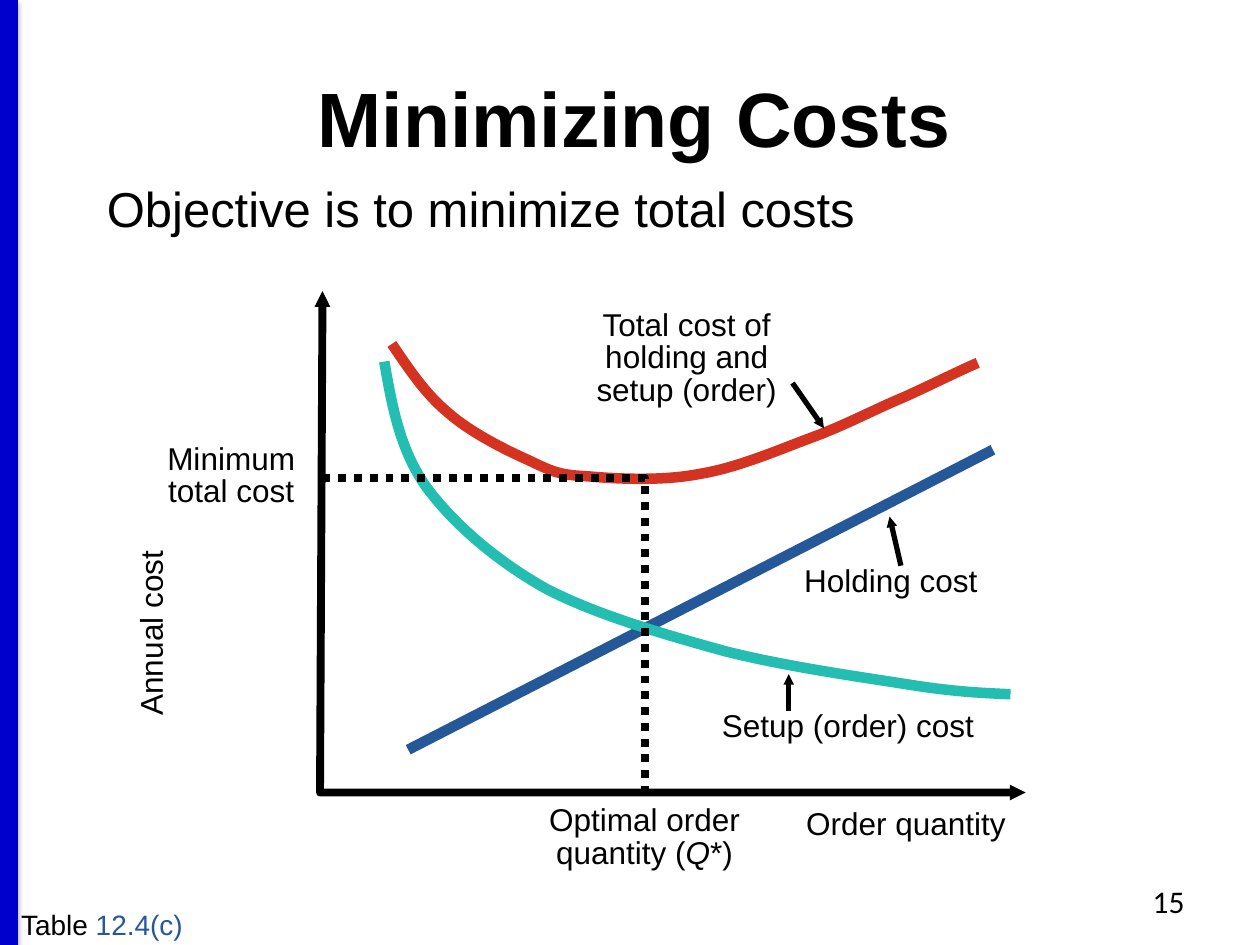
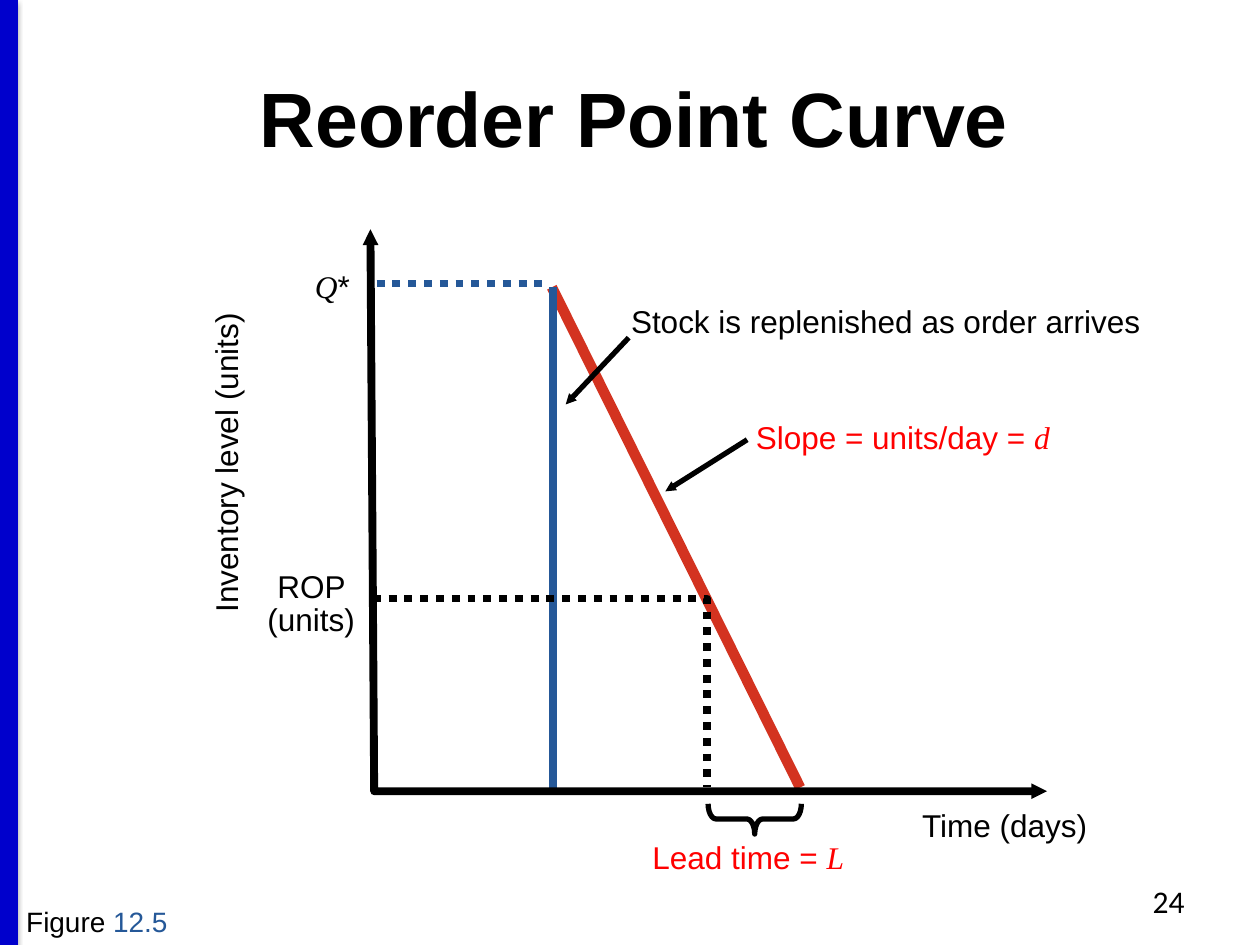
from lxml.etree import SubElement
from pptx import Presentation
from pptx.dml.color import RGBColor
from pptx.enum.dml import MSO_LINE
from pptx.enum.shapes import MSO_CONNECTOR, MSO_SHAPE
from pptx.enum.text import PP_ALIGN
from pptx.oxml.ns import qn
from pptx.util import Inches, Pt

BLACK, BAND = "000000", "0000CC"
BLUE, RED, TEAL, ALERT = "255898", "D33320", "24BDB2", "FF0000"
SERIF = "Times New Roman"
VARIABLE = {"font": SERIF, "italic": True}
LABEL = {"align": PP_ALIGN.CENTER, "spacing": 0.85, "wrap": True}


def rgb(color):
    return RGBColor.from_string(color)


def place(sp, box):
    sp.left, sp.top, sp.width, sp.height = map(Inches, box)


def write(tf, content, size=18, color=BLACK, font="Arial", bold=False,
          italic=False, align=PP_ALIGN.LEFT, spacing=None, wrap=False):
    tf.word_wrap = wrap
    p = tf.paragraphs[0]
    p.alignment = align
    if spacing:
        p.line_spacing = spacing
    runs = [(content, {})] if isinstance(content, str) else content
    for words, change in runs:
        r = p.add_run()
        r.text = words
        r.font.size = Pt(size)
        r.font.bold = bold
        r.font.name = change.get("font", font)
        r.font.italic = change.get("italic", italic)
        r.font.color.rgb = rgb(change.get("color", color))


def add_text(s, content, box, rotation=0, **fmt):
    sp = s.shapes.add_textbox(*map(Inches, box))
    sp.rotation = rotation
    write(sp.text_frame, content, **fmt)


def style_line(sp, color=BLACK, width=4.5, dotted=False, ends=()):
    sp.line.color.rgb = rgb(color)
    sp.line.width = Pt(width)
    if dotted:
        sp.line.dash_style = MSO_LINE.ROUND_DOT
    ln = sp.element.spPr.find(qn("a:ln"))
    for end in ends:
        SubElement(ln, qn(f"a:{end}"), type="triangle", w="sm", len="sm")


def add_line(s, start, end, **style):
    sp = s.shapes.add_connector(
        MSO_CONNECTOR.STRAIGHT, *map(Inches, (*start, *end)))
    style_line(sp, **style)
    SubElement(sp.element.spPr, qn("a:effectLst"))
    return sp


def add_pointer(s, start, end):
    add_line(s, start, end, width=3, ends=["tailEnd"])


def add_polyline(s, points, **style):
    first, *rest = [(Inches(x), Inches(y)) for x, y in points]
    builder = s.shapes.build_freeform(*first)
    builder.add_line_segments(rest, close=False)
    sp = builder.convert_to_shape()
    sp.shadow.inherit = False
    sp.fill.background()
    style_line(sp, **style)
    return sp


def add_axes(s, top, corner, right):
    add_polyline(s, [top, corner, right], ends=["headEnd", "tailEnd"])


def add_curve(s, points, color):
    sp = add_polyline(s, points, color=color, width=6)
    outline = sp.element.find(".//" + qn("a:path"))
    steps = outline.findall(qn("a:lnTo"))
    for i in range(0, len(steps), 3):
        bezier = SubElement(outline, qn("a:cubicBezTo"))
        for step in steps[i:i + 3]:
            bezier.append(step[0])
            outline.remove(step)


def add_band(s, layout):
    sp = add_line(s, (0.07, 0), (0.07, 7.5), color=BAND, width=10)
    effects = sp.element.spPr.find(qn("a:effectLst"))
    shadow = SubElement(effects, qn("a:outerShdw"), blurRad=str(Pt(3.1)),
                        dist=str(Pt(1.6)), dir="5400000", rotWithShape="0")
    tint = SubElement(shadow, qn("a:srgbClr"), val=BLACK)
    SubElement(tint, qn("a:alpha"), val="38000")
    layout.shapes.element.append(sp.element)


def new_slide(prs, layout, title, number):
    s = prs.slides.add_slide(layout)
    place(s.shapes.title, (0.07, 0.3, 9.93, 1.25))
    write(s.shapes.title.text_frame, title, size=44, bold=True,
          align=PP_ALIGN.CENTER, wrap=True)
    add_text(s, number, (7.17, 6.95, 2.33, 0.4), font="Calibri",
             align=PP_ALIGN.RIGHT, wrap=True)
    return s


def add_reference(s, kind, number, box):
    add_text(s, [(kind, {}), (number, {"color": BLUE})], box, size=16)


def draw_cost_curves(s):
    add_text(s, "Objective is to minimize total costs",
             (0.75, 1.42, 6.88, 0.53), size=28, spacing=0.9, wrap=True)
    add_reference(s, "Table ", "12.4(c)", (0.07, 7.15, 1.55, 0.37))
    add_axes(s, (2.56, 2.31), (2.54, 6.29), (8.14, 6.29))
    add_text(s, "Annual cost", (0.46, 4.84, 1.53, 0.37), rotation=270,
             align=PP_ALIGN.CENTER, spacing=0.85)
    add_text(s, "Order quantity", (6.3, 6.33, 1.8, 0.4))

    total_cost = [
        (3.11, 2.73), (3.24, 2.92), (3.37, 3.12), (3.55, 3.27),
        (3.73, 3.43), (4.01, 3.57), (4.19, 3.65),
        (4.38, 3.74), (4.43, 3.77), (4.66, 3.78),
        (4.89, 3.8), (5.26, 3.82), (5.56, 3.76),
        (5.86, 3.71), (6.18, 3.57), (6.45, 3.47),
        (6.72, 3.37), (6.96, 3.24), (7.18, 3.15),
        (7.4, 3.05), (7.64, 2.93), (7.76, 2.88)]
    setup_cost = [
        (3.05, 2.87), (3.11, 3.21), (3.17, 3.56), (3.38, 3.86),
        (3.6, 4.16), (3.94, 4.45), (4.33, 4.67),
        (4.73, 4.88), (5.29, 5.04), (5.76, 5.17),
        (6.24, 5.29), (6.81, 5.37), (7.19, 5.43),
        (7.56, 5.49), (7.79, 5.5), (8.02, 5.51)]
    add_curve(s, total_cost, RED)
    add_line(s, (3.24, 5.95), (7.88, 3.57), color=BLUE, width=6)
    add_curve(s, setup_cost, TEAL)
    add_polyline(s, [(2.56, 3.79), (5.12, 3.79), (5.12, 6.28)], dotted=True)

    optimum = [("Optimal order quantity (", {}), ("Q", {"italic": True}),
               ("*)", {})]
    for content, box in [
            ("Total cost of holding and setup (order)",
             (4.41, 2.42, 2.08, 0.88)),
            ("Holding cost ", (6.18, 4.45, 1.85, 0.37)),
            ("Setup (order) cost ", (5.61, 5.6, 2.24, 0.37)),
            ("Minimum total cost", (1.07, 3.48, 1.53, 0.62)),
            (optimum, (4.19, 6.35, 1.85, 0.62))]:
        add_text(s, content, box, **LABEL)
    for start, end in [((6.29, 3.04), (6.54, 3.4)),
                       ((7.15, 4.49), (7.06, 4.1)),
                       ((6.26, 5.64), (6.26, 5.35))]:
        add_pointer(s, start, end)


def add_lead_time_brace(s):
    sp = s.shapes.add_shape(MSO_SHAPE.RIGHT_BRACE,
                            *map(Inches, (5.87, 6.13, 0.24, 0.74)))
    sp.rotation = 90
    sp.adjustments[0] = 0.26
    sp.adjustments[1] = 0.5
    sp.shadow.inherit = False
    sp.fill.background()
    style_line(sp, width=3)


def draw_reorder_point(s):
    add_line(s, (4.38, 2.28), (6.35, 6.25), color=RED, width=6)
    add_line(s, (2.99, 2.25), (4.36, 2.25), color=BLUE, dotted=True)
    add_line(s, (4.39, 2.28), (4.39, 6.26), color=BLUE)
    add_polyline(s, [(2.96, 4.75), (5.61, 4.75), (5.61, 6.25)], dotted=True)
    add_axes(s, (2.94, 1.82), (2.97, 6.28), (8.31, 6.28))

    add_text(s, [("Q", VARIABLE), ("*", {})], (2.4, 2.07, 0.51, 0.4))
    add_text(s, "ROP (units)", (1.93, 4.5, 1.08, 0.62), **LABEL)
    add_text(s, "Inventory level (units)", (0.49, 3.46, 2.6, 0.4),
             rotation=270)
    add_text(s, "Time (days)", (7.22, 6.35, 1.52, 0.4))
    add_text(s, [("Lead time = ", {}), ("L", VARIABLE)],
             (5.08, 6.6, 1.8, 0.4), color=ALERT)
    add_lead_time_brace(s)
    add_text(s, [("Slope = units/day = ", {}), ("d", VARIABLE)],
             (5.9, 3.27, 2.62, 0.4), color=ALERT)
    add_text(s, "Stock is replenished as order arrives",
             (4.91, 2.35, 4.28, 0.4))
    add_pointer(s, (5.93, 3.49), (5.28, 3.9))
    add_pointer(s, (4.99, 2.68), (4.49, 3.21))
    add_reference(s, "Figure ", "12.5", (0.11, 7.13, 1.38, 0.37))


def main():
    prs = Presentation()
    prs.slide_width, prs.slide_height = Inches(10), Inches(7.5)
    layout = prs.slide_layouts[5]
    costs = new_slide(prs, layout, "Minimizing Costs", "15")
    add_band(costs, layout)
    draw_cost_curves(costs)
    draw_reorder_point(new_slide(prs, layout, "Reorder Point Curve", "24"))
    prs.save("out.pptx")


if __name__ == "__main__":
    main()
